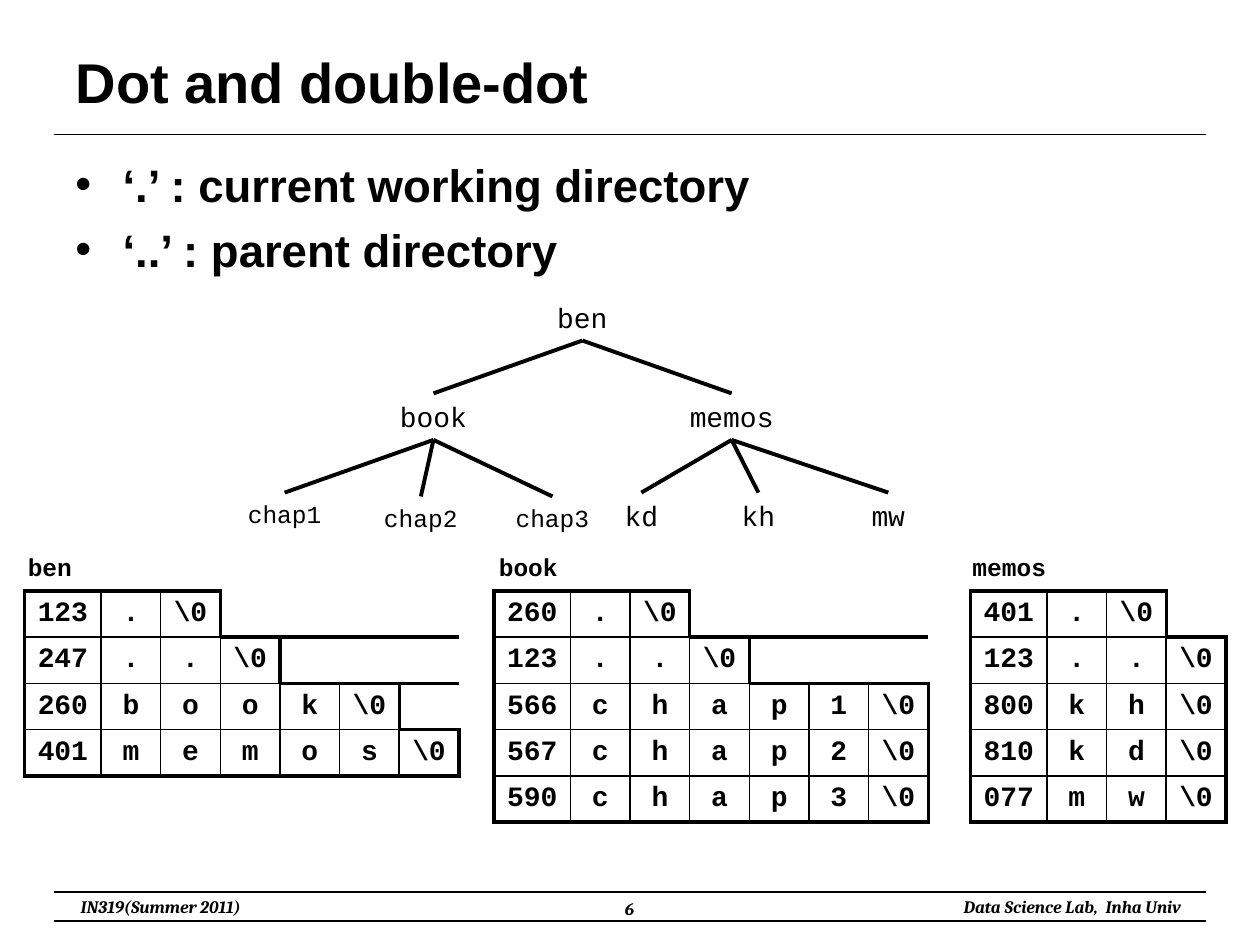
from lxml.etree import SubElement
from pptx import Presentation
from pptx.dml.color import RGBColor
from pptx.enum.shapes import MSO_CONNECTOR
from pptx.enum.text import MSO_ANCHOR, MSO_AUTO_SIZE, PP_ALIGN
from pptx.oxml.ns import qn
from pptx.util import Pt

COLORS = {"ink": "000000", "paper": "FFFFFF"}
MONO = "Courier New"
THIN, THICK = 1, 2.25
RULE_LEFT, RULE_RIGHT = 31, 689
ROW_HEIGHT, INODE_WIDTH, LETTER_WIDTH = 26.4, 43.7, 34.1
TABLE_TOP, LABEL_TOP = 337.7, 311.8
NODE_HEIGHT = 26.6

TREE = {
    "ben": (332.8, 168, 16, None),
    "book": (247.7, 224.8, 16, "ben"),
    "memos": (418.1, 224.8, 16, "ben"),
    "chap1": (162.7, 281.5, 14, "book"),
    "chap2": (240.5, 283.7, 14, "book"),
    "chap3": (315.7, 283.7, 14, "book"),
    "kd": (366.5, 281.5, 16, "memos"),
    "kh": (433.4, 281.5, 16, "memos"),
    "mw": (507.6, 281.5, 16, "memos"),
}

DIRECTORIES = [
    ("ben", 14.1, 8.7, [("123", "."), ("247", ".."), ("260", "book"), ("401", "memos")]),
    ("book", 282.3, 277.9, [("260", "."), ("123", ".."), ("566", "chap1"),
                            ("567", "chap2"), ("590", "chap3")]),
    ("memos", 554.6, 548.6, [("401", "."), ("123", ".."), ("800", "kh"),
                             ("810", "kd"), ("077", "mw")]),
]


def format_paragraph(paragraph, text, size=16, font=MONO, bold=False, italic=False,
                     align=PP_ALIGN.CENTER):
    paragraph.alignment = align
    run = paragraph.add_run()
    run.text = text
    run.font.size = Pt(size)
    run.font.name = font
    run.font.bold = bold
    run.font.italic = italic
    run.font.color.rgb = RGBColor.from_string(COLORS["ink"])


def add_text(slide, text, left, top, width, height, wrap=False, **text_format):
    box = slide.shapes.add_textbox(Pt(left), Pt(top), Pt(width), Pt(height))
    frame = box.text_frame
    frame.word_wrap = wrap
    format_paragraph(frame.paragraphs[0], text, **text_format)


def add_line(slide, start, end, width):
    line = slide.shapes.add_connector(MSO_CONNECTOR.STRAIGHT, *map(Pt, start + end))
    line.line.color.rgb = RGBColor.from_string(COLORS["ink"])
    line.line.width = Pt(width)
    SubElement(line._element.spPr, qn("a:effectLst"))


def add_title(slide, text):
    title = slide.shapes.title
    title.left, title.top, title.width, title.height = map(Pt, (36, 21.6, 648, 49.7))
    frame = title.text_frame
    frame.auto_size = MSO_AUTO_SIZE.NONE
    frame.vertical_anchor = MSO_ANCHOR.MIDDLE
    format_paragraph(frame.paragraphs[0], text, size=32, font="Arial", bold=True,
                     align=PP_ALIGN.LEFT)


def add_bullets(slide, texts):
    box = slide.shapes.add_textbox(Pt(36), Pt(86), Pt(648), Pt(76))
    frame = box.text_frame
    frame.word_wrap = True
    for index, text in enumerate(texts):
        paragraph = frame.add_paragraph() if index else frame.paragraphs[0]
        properties = paragraph._p.get_or_add_pPr()
        properties.set("marL", str(Pt(27)))
        properties.set("indent", str(-Pt(27)))
        SubElement(properties, qn("a:buFont"), typeface="Arial")
        SubElement(properties, qn("a:buChar"), char="•")
        if index:
            paragraph.space_before = Pt(6)
        format_paragraph(paragraph, text, size=26, font="Arial", bold=True,
                         align=PP_ALIGN.LEFT)


def add_tree(slide):
    for name, (center, top, size, parent) in TREE.items():
        width = len(name) * size * 0.6 + 14.4
        add_text(slide, name, center - width / 2, top, width, NODE_HEIGHT, size=size)
        if parent:
            parent_center, parent_top = TREE[parent][:2]
            add_line(slide, (parent_center, parent_top + NODE_HEIGHT), (center, top), THICK)


def set_border(cell, side, width):
    properties = cell._tc.get_or_add_tcPr()
    border = SubElement(properties, qn(f"a:{side}"), w=str(Pt(width)))
    if width:
        fill = SubElement(border, qn("a:solidFill"))
        SubElement(fill, qn("a:srgbClr"), val=COLORS["ink"])
    else:
        SubElement(border, qn("a:noFill"))


def border_width(filled, neighbor_filled, divides_rows):
    if filled and neighbor_filled:
        return THIN
    return THICK if filled or neighbor_filled or divides_rows else 0


def add_directory(slide, name, left, label_left, entries):
    add_text(slide, name, label_left, LABEL_TOP, len(name) * 8.4 + 14.4, 23.8,
             size=14, bold=True)
    rows = [[inode, *entry, "\\0"] for inode, entry in entries]
    row_count, column_count = len(rows), max(map(len, rows))
    widths = [INODE_WIDTH] + [LETTER_WIDTH] * (column_count - 1)
    table = slide.shapes.add_table(row_count, column_count, Pt(left), Pt(TABLE_TOP),
                                   Pt(sum(widths)), Pt(ROW_HEIGHT * row_count)).table
    table.first_row = table.horz_banding = False
    for column, width in zip(table.columns, widths):
        column.width = Pt(width)

    def filled(row, column):
        return 0 <= row < row_count and 0 <= column < len(rows[row])

    for row, texts in enumerate(rows):
        table.rows[row].height = Pt(ROW_HEIGHT)
        for column in range(column_count):
            cell = table.cell(row, column)
            cell.vertical_anchor = MSO_ANCHOR.MIDDLE
            here = filled(row, column)
            neighbors = [
                ("lnL", row, column - 1, False),
                ("lnR", row, column + 1, False),
                ("lnT", row - 1, column, row > 0),
                ("lnB", row + 1, column, row < row_count - 1),
            ]
            for side, next_row, next_column, divides_rows in neighbors:
                set_border(cell, side, border_width(
                    here, filled(next_row, next_column), divides_rows))
            cell.fill.background()
            if here:
                format_paragraph(cell.text_frame.paragraphs[0], texts[column], bold=True)
            else:
                cell.margin_top = cell.margin_bottom = 0
        if len(texts) < column_count - 1:
            table.cell(row, len(texts)).merge(table.cell(row, column_count - 1))


def add_footer(slide):
    style = {"size": 10, "font": "Cambria", "bold": True, "italic": True}
    add_text(slide, "IN319(Summer 2011)", 29.5, 508.3, 124.6, 19.4, **style)
    add_text(slide, "Data Science Lab,  Inha Univ", 515.5, 508.3, 166.3, 19.4,
             align=PP_ALIGN.RIGHT, **style)
    add_text(slide, "6", 275.8, 509.8, 167.8, 22.3, wrap=True, **style)


def main():
    presentation = Presentation()
    presentation.slide_width, presentation.slide_height = Pt(720), Pt(540)
    slide = presentation.slides.add_slide(presentation.slide_layouts[5])
    slide.background.fill.solid()
    slide.background.fill.fore_color.rgb = RGBColor.from_string(COLORS["paper"])
    for height in (77, 509.8, 526.3):
        add_line(slide, (RULE_LEFT, height), (RULE_RIGHT, height), 0.75)
    add_title(slide, "Dot and double-dot")
    add_bullets(slide, ["‘.’ : current working directory", "‘..’ : parent directory"])
    add_tree(slide)
    for directory in DIRECTORIES:
        add_directory(slide, *directory)
    add_footer(slide)
    presentation.save("out.pptx")


if __name__ == "__main__":
    main()
